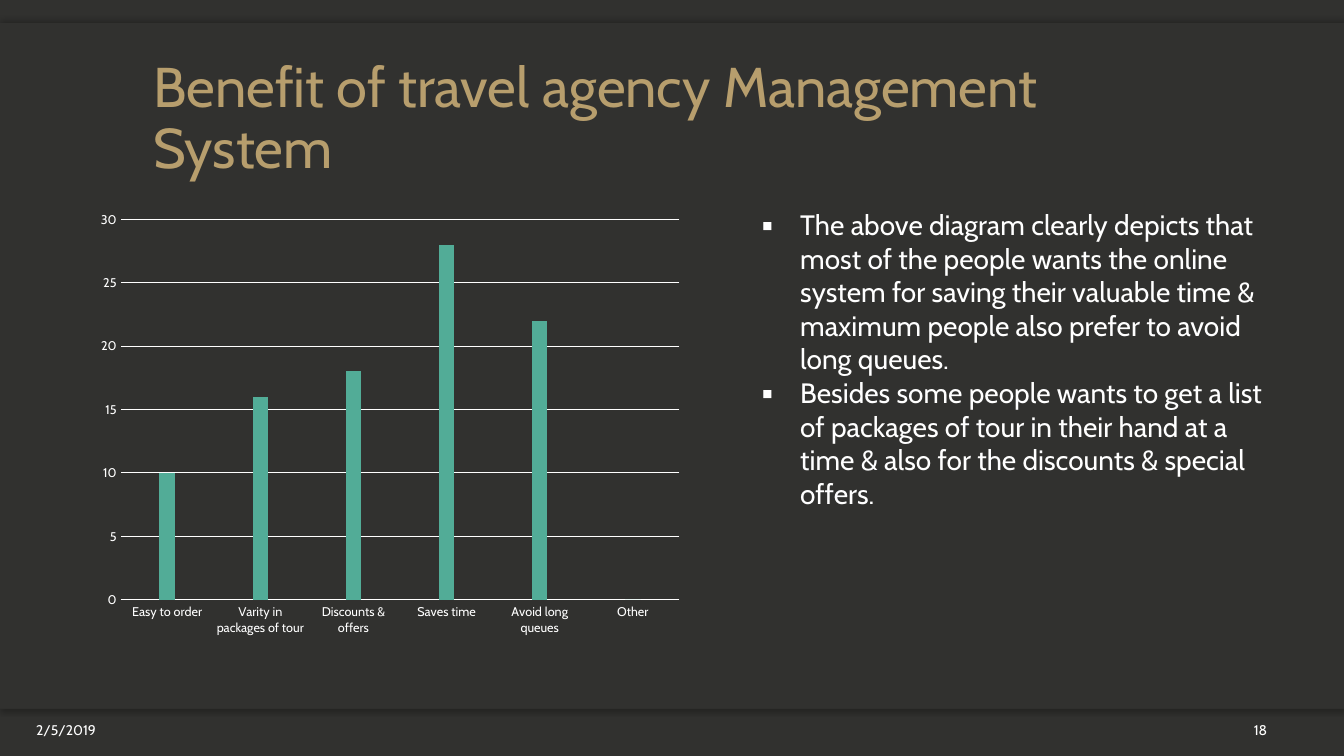
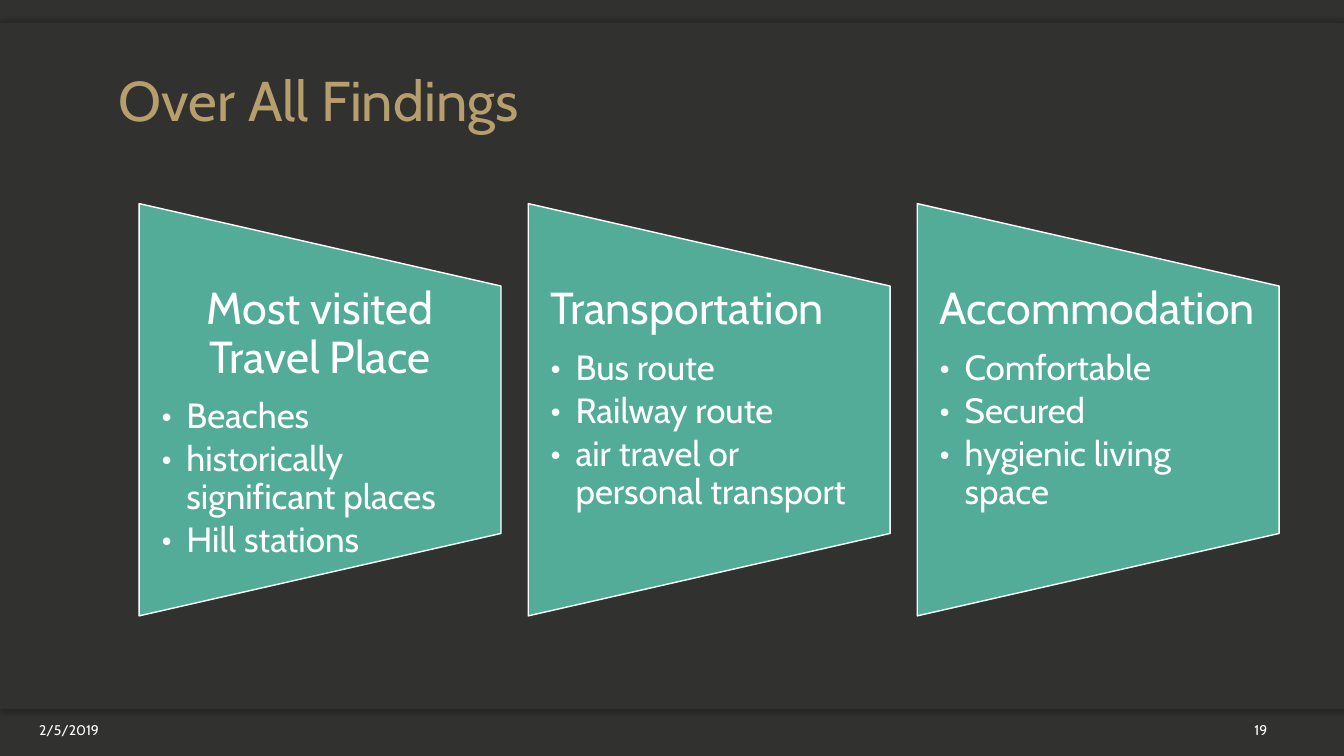
import pptx
import pptx.util
import pptx.chart.data
import pptx.dml.color
import pptx.enum.chart
import pptx.enum.shapes
import pptx.enum.text
import pptx.oxml.ns
import lxml.etree

Inches = pptx.util.Inches
Pt = pptx.util.Pt
RGBColor = pptx.dml.color.RGBColor
ALIGN = pptx.enum.text.PP_ALIGN
ANCHOR = pptx.enum.text.MSO_ANCHOR
SHAPE = pptx.enum.shapes.MSO_SHAPE
qn = pptx.oxml.ns.qn

CHARCOAL = RGBColor(0x31, 0x31, 0x2F)
GOLD = RGBColor(0xB7, 0x9E, 0x6D)
TEAL = RGBColor(0x52, 0xAC, 0x97)
BLUE = RGBColor(0x47, 0x8B, 0xA9)
WHITE = RGBColor(0xFF, 0xFF, 0xFF)
FONT = "Cabin"
SLIDE_WIDTH, SLIDE_HEIGHT = 40 / 3, 7.5
FRAME_TOP, FRAME_HEIGHT, BAND_HEIGHT = 0.23, 6.8, 0.49
DATE = "2/5/2019"

BENEFITS = {
    "Easy to order": 10,
    "Varity in packages of tour": 16,
    "Discounts & offers": 18,
    "Saves time": 28,
    "Avoid long queues": 22,
    "Other": 0,
}
BLANK_VALUES = [None] * len(BENEFITS)
BENEFIT_SERIES = [
    ("Series 1", list(BENEFITS.values()), TEAL),
    ("Series 2", BLANK_VALUES, GOLD),
    ("Series 3", BLANK_VALUES, BLUE),
]
REMARKS = [
    "The above diagram clearly depicts that most of the people wants the online system "
    "for saving their valuable time & maximum people also prefer to avoid long queues.",
    "Besides some people wants to get a list of packages of tour in their hand at a time "
    "& also for the discounts & special offers.",
]
FINDINGS = [
    ("Most visited Travel Place", ALIGN.CENTER,
     ["Beaches", "historically significant places", "Hill stations"]),
    ("Transportation", ALIGN.LEFT,
     ["Bus route", "Railway route", "air travel or personal transport"]),
    ("Accommodation", ALIGN.LEFT,
     ["Comfortable", "Secured", "hygienic living space"]),
]


def apply_format(target, values):
    for name, value in values.items():
        setattr(target, name, value)


def format_font(font, size, color=WHITE):
    apply_format(font, {"name": FONT, "size": Pt(size)})
    font.color.rgb = color


def fill_solid(fill, color):
    fill.solid()
    fill.fore_color.rgb = color


def add_bullet(paragraph, character, indent):
    properties = paragraph._p.get_or_add_pPr()
    properties.set("marL", str(Inches(indent)))
    properties.set("indent", str(-Inches(indent)))
    lxml.etree.SubElement(properties, qn("a:buFont")).set("typeface", FONT)
    lxml.etree.SubElement(properties, qn("a:buChar")).set("char", character)


def write_paragraph(frame, index, text, size, color=WHITE, bullet=None, **values):
    paragraph = frame.add_paragraph() if index else frame.paragraphs[0]
    if bullet:
        add_bullet(paragraph, *bullet)
    apply_format(paragraph, values)
    run = paragraph.add_run()
    run.text = text
    format_font(run.font, size, color)


def add_text_box(slide, box, **values):
    shape = slide.shapes.add_textbox(*map(Inches, box))
    frame = shape.text_frame
    apply_format(frame, {"word_wrap": True, **values})
    return frame


def add_band(slide, top, height, shadow_angle=None):
    shape = slide.shapes.add_shape(
        SHAPE.RECTANGLE, 0, Inches(top), Inches(SLIDE_WIDTH), Inches(height))
    fill_solid(shape.fill, CHARCOAL)
    shape.line.fill.background()
    shape.shadow.inherit = False
    if shadow_angle is not None:
        effects = shape._element.spPr.find(qn("a:effectLst"))
        shadow = lxml.etree.SubElement(effects, qn("a:outerShdw"))
        for name, value in {"blurRad": Pt(4), "dist": Pt(2),
                            "dir": shadow_angle * 60000, "rotWithShape": 0}.items():
            shadow.set(name, str(int(value)))
        color = lxml.etree.SubElement(shadow, qn("a:srgbClr"))
        color.set("val", "000000")
        lxml.etree.SubElement(color, qn("a:alpha")).set("val", "25000")


def add_footer(slide, number, date_right):
    for text, right, width in ((DATE, date_right, 1), (str(number), 12.67, 0.75)):
        frame = add_text_box(slide, (right - width, 7.09, width, 0.3),
                             vertical_anchor=ANCHOR.MIDDLE)
        write_paragraph(frame, 0, text, 10, alignment=ALIGN.RIGHT)


def add_base_slide(presentation, title, title_box, number, date_right):
    slide = presentation.slides.add_slide(presentation.slide_layouts[5])
    add_band(slide, FRAME_TOP + FRAME_HEIGHT - BAND_HEIGHT, BAND_HEIGHT, 90)
    add_band(slide, FRAME_TOP, BAND_HEIGHT, 270)
    add_band(slide, FRAME_TOP, FRAME_HEIGHT)
    placeholder = slide.shapes.title
    slide.shapes._spTree.append(placeholder._element)
    apply_format(placeholder, dict(zip(("left", "top", "width", "height"),
                                       map(Inches, title_box))))
    frame = placeholder.text_frame
    apply_format(frame, {"word_wrap": True, "vertical_anchor": ANCHOR.BOTTOM,
                         "auto_size": pptx.enum.text.MSO_AUTO_SIZE.NONE})
    write_paragraph(frame, 0, title, 40, GOLD, alignment=ALIGN.LEFT, line_spacing=0.9)
    add_footer(slide, number, date_right)
    return slide


def format_axis_line(line):
    line.color.rgb = WHITE
    line.width = Pt(0.75)


def add_benefit_chart(slide, box):
    data = pptx.chart.data.CategoryChartData()
    data.categories = list(BENEFITS)
    for name, values, _ in BENEFIT_SERIES:
        data.add_series(name, values)
    chart = slide.shapes.add_chart(
        pptx.enum.chart.XL_CHART_TYPE.COLUMN_CLUSTERED, *map(Inches, box), data).chart
    apply_format(chart, {"has_legend": False, "has_title": False})
    format_font(chart.font, 10)
    plot = chart.plots[0]
    apply_format(plot, {"gap_width": 500, "overlap": 100, "vary_by_categories": False})
    for series, (_, _, color) in zip(plot.series, BENEFIT_SERIES):
        fill_solid(series.format.fill, color)
    no_tick = pptx.enum.chart.XL_TICK_MARK.NONE
    for axis in (chart.category_axis, chart.value_axis):
        apply_format(axis, {"major_tick_mark": no_tick, "minor_tick_mark": no_tick})
        format_font(axis.tick_labels.font, 9)
    format_axis_line(chart.category_axis.format.line)
    apply_format(chart.value_axis, {"minimum_scale": 0, "maximum_scale": 30,
                                    "major_unit": 5, "has_major_gridlines": True})
    chart.value_axis.format.line.fill.background()
    format_axis_line(chart.value_axis.major_gridlines.format.line)


def add_remarks(slide, box):
    frame = add_text_box(slide, box)
    for index, remark in enumerate(REMARKS):
        write_paragraph(frame, index, remark, 20, bullet=("▪", 0.38))


def add_finding(slide, box, heading, alignment, items):
    left, top, width, height = box
    panel = slide.shapes.add_shape(
        SHAPE.FLOWCHART_MANUAL_OPERATION,
        Inches(left + (width - height) / 2), Inches(top + (height - width) / 2),
        Inches(height), Inches(width))
    panel.rotation = 270
    panel.shadow.inherit = False
    fill_solid(panel.fill, TEAL)
    panel.line.color.rgb = WHITE
    panel.line.width = Pt(1)
    inset = height / 5
    frame = add_text_box(slide, (left, top + inset, width, height - 2 * inset),
                         margin_left=Inches(0.22), margin_right=Inches(0.22),
                         margin_top=0, margin_bottom=0)
    write_paragraph(frame, 0, heading, 32, alignment=alignment,
                    line_spacing=0.9, space_after=Pt(32 * 0.35))
    for index, item in enumerate(items, 1):
        write_paragraph(frame, index, item, 25, bullet=("•", 0.25),
                        line_spacing=0.9, space_after=Pt(25 * 0.15))


def build_benefit_slide(presentation):
    slide = add_base_slide(presentation, "Benefit of travel agency Management System",
                           (1.42, 0.46, 10.5, 1.38), 18, 1.05)
    add_remarks(slide, (7.46, 2.01, 5.19, 3.13))
    add_benefit_chart(slide, (0.88, 2.01, 5.98, 4.38))


def build_findings_slide(presentation):
    slide = add_base_slide(presentation, "Over All Findings",
                           (1.08, 0.52, 10.5, 0.86), 19, 1.08)
    width, gap = 3.59, 0.27
    for index, finding in enumerate(FINDINGS):
        add_finding(slide, (1.38 + index * (width + gap), 2.02, width, 4.09), *finding)


def main():
    presentation = pptx.Presentation()
    apply_format(presentation, {"slide_width": Inches(SLIDE_WIDTH),
                                "slide_height": Inches(SLIDE_HEIGHT)})
    fill_solid(presentation.slide_master.background.fill, CHARCOAL)
    build_benefit_slide(presentation)
    build_findings_slide(presentation)
    presentation.save("out.pptx")


if __name__ == "__main__":
    main()
